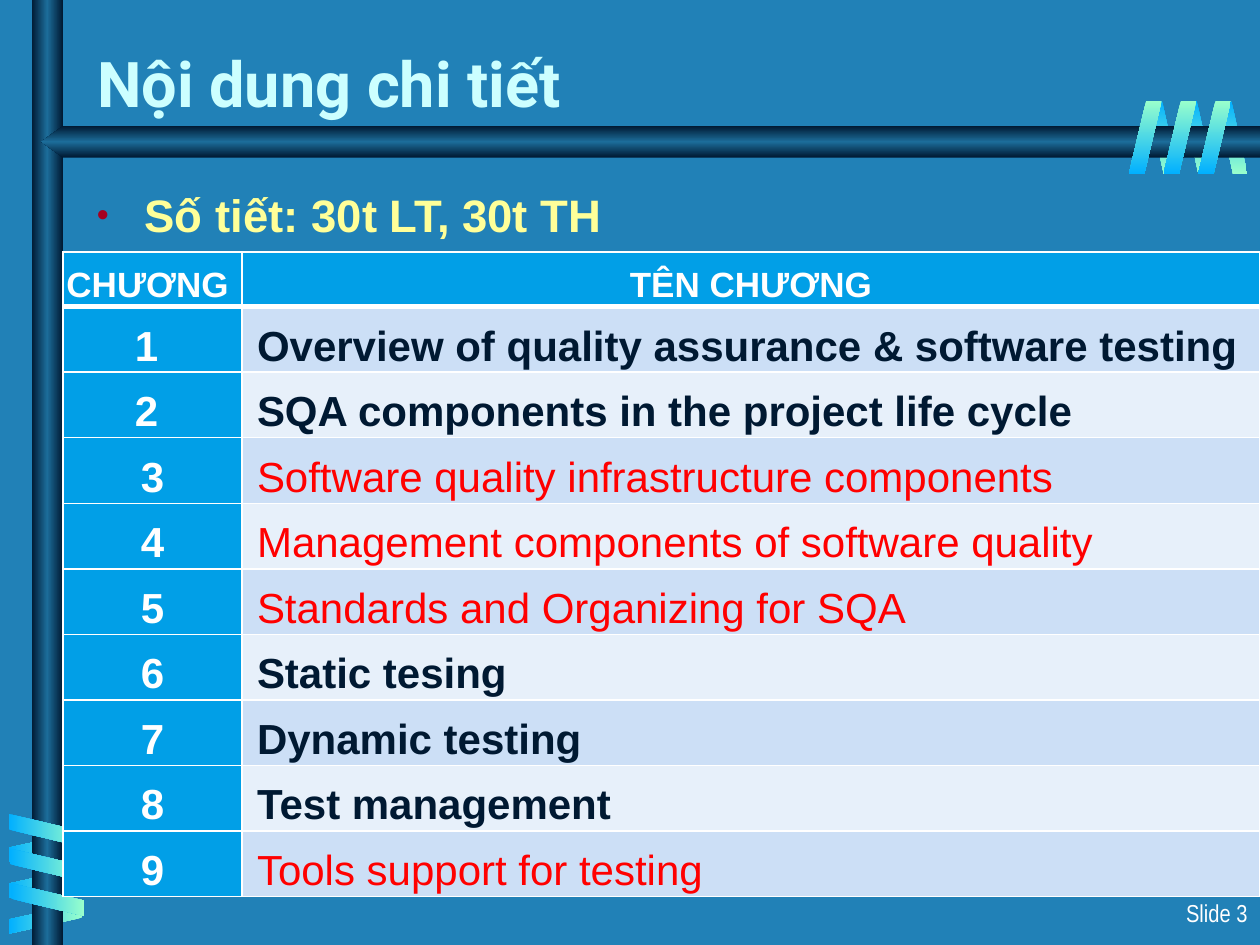
from lxml import etree
from pptx import Presentation
from pptx.dml.color import RGBColor
from pptx.enum.shapes import MSO_SHAPE
from pptx.enum.text import MSO_ANCHOR, PP_ALIGN
from pptx.oxml import parse_xml
from pptx.oxml.ns import nsdecls, qn
from pptx.util import Inches, Pt

COLORS = {
    "background": "2181B7", "title": "CCFFFF", "subtitle": "FFFF99", "bullet": "A50021",
    "white": "FFFFFF", "navy": "001932", "steel": "1C6D9A", "sky": "01B0FF",
    "mint": "99FFCC", "header": "019FE7", "odd": "CCDFF6", "even": "E7F0FA", "red": "FF0000",
}
RIBBON = ("mint", "sky")
RIBBON_BACK = ("sky", "mint")
BAR = ("navy", "steel", "navy")


def add_gradient_shape(kind, box, stops, angle, rotation=0, flip=False, adjust=None):
    shape = slide.shapes.add_shape(kind, *map(Inches, box))
    shape.shadow.inherit = False
    shape.line.fill.background()
    shape.rotation = rotation
    if adjust is not None:
        shape.adjustments[0] = adjust
    properties = shape._element.spPr
    if flip:
        properties.find(qn("a:xfrm")).set("flipH", "1")
    marks = "".join(
        f'<a:gs pos="{100000 * i // (len(stops) - 1)}"><a:srgbClr val="{COLORS[name]}"/></a:gs>'
        for i, name in enumerate(stops))
    properties.find(qn("a:prstGeom")).addnext(parse_xml(
        f'<a:gradFill {nsdecls("a")} rotWithShape="0"><a:gsLst>{marks}</a:gsLst>'
        f'<a:lin ang="{angle * 60000}" scaled="0"/></a:gradFill>'))


def write_text(frame, text, size, color, font="Arial", bold=False,
               align=PP_ALIGN.LEFT, before=0, spacing=None):
    frame.word_wrap = True
    paragraph = frame.paragraphs[0]
    paragraph.alignment = align
    paragraph.space_before = Pt(before)
    if spacing:
        paragraph.line_spacing = spacing
    run = paragraph.add_run()
    run.text = text
    run.font.name = font
    run.font.size = Pt(size)
    run.font.bold = bold
    run.font.color.rgb = RGBColor.from_string(COLORS[color])
    return paragraph


prs = Presentation()
prs.slide_width = Inches(10)
prs.slide_height = Inches(7.5)
slide = prs.slides.add_slide(prs.slide_layouts[5])
slide.background.fill.solid()
slide.background.fill.fore_color.rgb = RGBColor.from_string(COLORS["background"])

for i in range(3):
    add_gradient_shape(MSO_SHAPE.PARALLELOGRAM, (9.66 - 0.275 * i, 0.8, 0.24, 0.58),
                       RIBBON_BACK, 90, 180, True, 0.53)
for i in range(3):
    add_gradient_shape(MSO_SHAPE.PARALLELOGRAM, (0.24, 6.43 + 0.285 * i, 0.24, 0.58),
                       RIBBON, 0, 90, True, 0.53)
add_gradient_shape(MSO_SHAPE.RECTANGLE, (0.25, 0, 0.25, 7.5), BAR, 0)
add_gradient_shape(MSO_SHAPE.PENTAGON, (0.33, 1, 9.67, 0.25), BAR, 90, flip=True, adjust=0.68)
for i in range(3):
    add_gradient_shape(MSO_SHAPE.PARALLELOGRAM, (0.23 + 0.01 * i, 6.3 + 0.275 * i, 0.26, 0.58),
                       RIBBON_BACK, 0, 270, adjust=0.53)
for i in range(3):
    add_gradient_shape(MSO_SHAPE.PARALLELOGRAM, (9.51 - 0.275 * i, 0.8, 0.26, 0.58),
                       RIBBON, 90, adjust=0.53)

title = slide.shapes.title
title.left, title.top, title.width, title.height = map(Inches, (0.67, 0.25, 9.08, 0.75))
title.text_frame.vertical_anchor = MSO_ANCHOR.BOTTOM
write_text(title.text_frame, "Nội dung chi tiết", 36, "title", "Roboto", True)

slide_label = slide.shapes.add_textbox(*map(Inches, (9.08, 7.08, 0.92, 0.42)))
write_text(slide_label.text_frame, "Slide 3", 14, "white", "Arial Narrow",
           align=PP_ALIGN.RIGHT, before=7)

hours = slide.shapes.add_textbox(*map(Inches, (0.67, 1.39, 9.08, 5.36)))
paragraph = write_text(hours.text_frame, "Số tiết: 30t LT, 30t TH", 26, "subtitle",
                       bold=True, before=5, spacing=1.1)
bullet = paragraph._p.get_or_add_pPr()
bullet.set("marL", str(Inches(0.38)))
bullet.set("indent", str(Inches(-0.38)))
color = etree.SubElement(bullet, qn("a:buClr"))
etree.SubElement(color, qn("a:srgbClr"), val=COLORS["bullet"])
etree.SubElement(bullet, qn("a:buSzPct"), val="75000")
etree.SubElement(bullet, qn("a:buFont"), typeface="Arial")
etree.SubElement(bullet, qn("a:buChar"), char="•")

chapters = [
    ("Overview of quality assurance & software testing", True),
    ("SQA components in the project life cycle", True),
    ("Software quality infrastructure components", False),
    ("Management components of software quality", False),
    ("Standards and Organizing for SQA", False),
    ("Static tesing", True),
    ("Dynamic testing", True),
    ("Test management", True),
    ("Tools support for testing", False),
]
rows = [("CHƯƠNG ", "TÊN CHƯƠNG", True)]
for number, (name, taught) in enumerate(chapters, 1):
    rows.append((f"{number} " if number < 3 else str(number), name, taught))

table = slide.shapes.add_table(len(rows), 2, *map(Inches, (0.5, 2, 9.5, 5.11))).table
table.columns[0].width = Inches(1.42)
table.columns[1].width = Inches(8.08)
for r, (number, name, taught) in enumerate(rows):
    table.rows[r].height = Inches(0.52 if r else 0.43)
    for c, text in enumerate((number, name)):
        cell = table.cell(r, c)
        is_name = r > 0 and c == 1
        fill = ("odd" if r % 2 else "even") if is_name else "header"
        ink = ("navy" if taught else "red") if is_name else "white"
        cell.margin_left = cell.margin_right = cell.margin_top = cell.margin_bottom = 0
        cell.vertical_anchor = MSO_ANCHOR.MIDDLE
        paragraph = write_text(cell.text_frame, text, 24 if r else 20, ink,
                               bold=taught or not is_name,
                               align=PP_ALIGN.LEFT if is_name else PP_ALIGN.CENTER,
                               before=3, spacing=1.3)
        if is_name:
            paragraph._p.get_or_add_pPr().set("marL", str(Inches(0.12)))
        cell_properties = cell._tc.get_or_add_tcPr()
        for side in ("lnL", "lnR", "lnT", "lnB"):
            thick = (r == 0 and side == "lnB") or (r == 1 and side == "lnT")
            border = etree.SubElement(cell_properties, qn(f"a:{side}"), w=str(Pt(3 if thick else 1)))
            solid = etree.SubElement(border, qn("a:solidFill"))
            etree.SubElement(solid, qn("a:srgbClr"), val=COLORS["white"])
        cell.fill.solid()
        cell.fill.fore_color.rgb = RGBColor.from_string(COLORS[fill])

prs.save("out.pptx")
